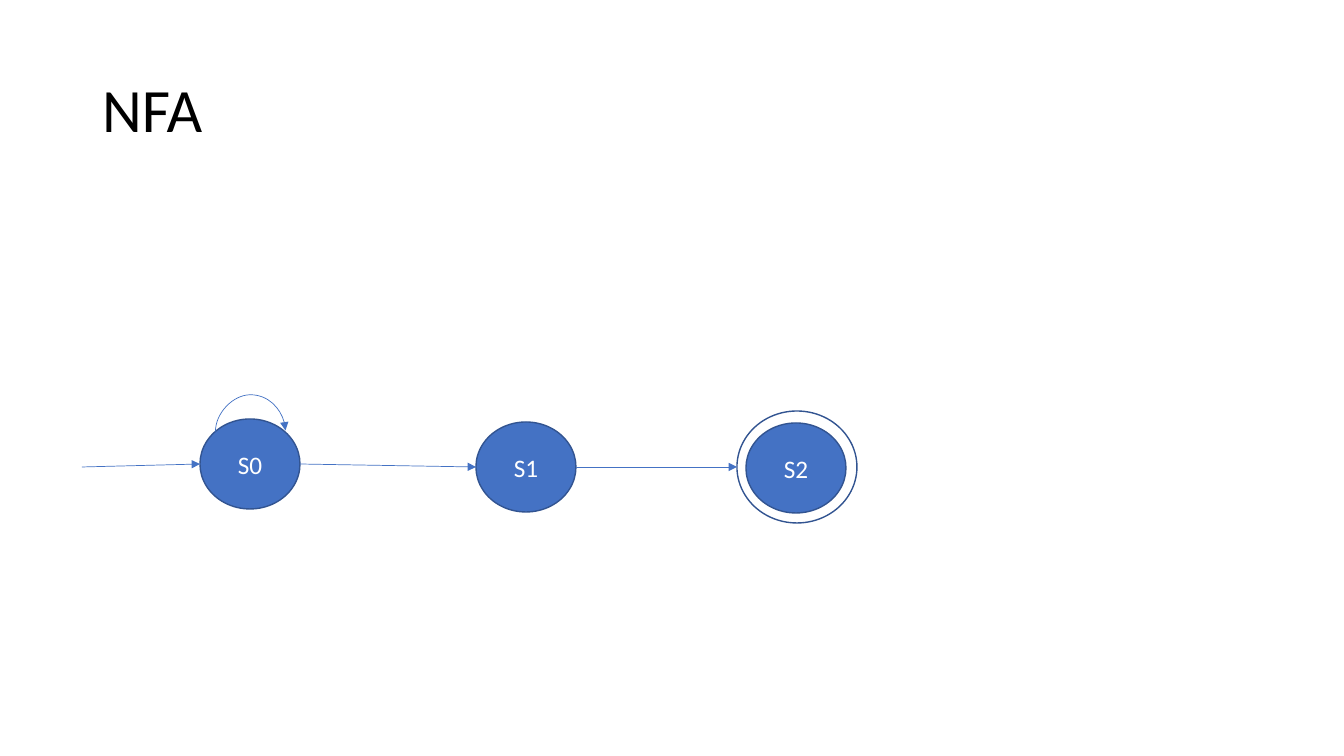
from dataclasses import dataclass

from lxml.etree import SubElement
from pptx import Presentation
from pptx.dml.color import RGBColor
from pptx.enum.shapes import MSO_CONNECTOR, MSO_SHAPE
from pptx.enum.text import MSO_ANCHOR, PP_ALIGN
from pptx.oxml.ns import qn
from pptx.util import Emu, Pt

EMU_PER_PIXEL = 914400 / 100.8


@dataclass(frozen=True)
class Theme:
    font: str = "Calibri"
    title_size: int = 44
    state_size: int = 18
    title_color: RGBColor = RGBColor(0x00, 0x00, 0x00)
    state_text: RGBColor = RGBColor(0xFF, 0xFF, 0xFF)
    state_fill: RGBColor = RGBColor(0x44, 0x72, 0xC4)
    outline: RGBColor = RGBColor(0x32, 0x54, 0x91)
    outline_width: float = 1
    arrow_width: float = 0.5


THEME = Theme()


def px(length):
    return Emu(round(length * EMU_PER_PIXEL))


def add_run(paragraph, text, size, color):
    run = paragraph.add_run()
    run.text = text
    run.font.name = THEME.font
    run.font.size = Pt(size)
    run.font.color.rgb = color


def add_title(slide, text, left, top, width, height):
    title = slide.shapes.title
    title.left, title.top = px(left), px(top)
    title.width, title.height = px(width), px(height)
    title.text_frame.vertical_anchor = MSO_ANCHOR.MIDDLE
    paragraph = title.text_frame.paragraphs[0]
    paragraph.alignment = PP_ALIGN.LEFT
    paragraph.line_spacing = 0.9
    add_run(paragraph, text, THEME.title_size, THEME.title_color)


def add_ellipse(slide, left, top, width, height):
    ellipse = slide.shapes.add_shape(
        MSO_SHAPE.OVAL, px(left), px(top), px(width), px(height))
    ellipse.shadow.inherit = False
    ellipse.fill.background()
    ellipse.line.color.rgb = THEME.outline
    ellipse.line.width = Pt(THEME.outline_width)
    return ellipse


def add_state(slide, name, left, top, width, height):
    state = add_ellipse(slide, left, top, width, height)
    state.fill.solid()
    state.fill.fore_color.rgb = THEME.state_fill
    state.text_frame.vertical_anchor = MSO_ANCHOR.MIDDLE
    paragraph = state.text_frame.paragraphs[0]
    paragraph.alignment = PP_ALIGN.CENTER
    add_run(paragraph, name, THEME.state_size, THEME.state_text)


def add_arrow(slide, begin, end, kind=MSO_CONNECTOR.STRAIGHT):
    arrow = slide.shapes.add_connector(kind, *map(px, begin + end))
    arrow.line.color.rgb = THEME.state_fill
    arrow.line.width = Pt(THEME.arrow_width)
    SubElement(arrow.line._get_or_add_ln(), qn("a:tailEnd"), type="triangle")
    SubElement(arrow._element.spPr, qn("a:effectLst"))
    return arrow


def add_self_loop(slide, center_x, base, span, rise):
    """Arc over a state: a one-pixel-wide curve turned a quarter."""
    loop = add_arrow(slide, (center_x + 1, base + span // 2),
                     (center_x, base - span // 2), MSO_CONNECTOR.CURVE)
    loop.rotation = 90
    properties = loop._element.spPr
    properties.find(qn("a:xfrm")).set("rot", str(90 * 60000))
    guides = properties.find(qn("a:prstGeom")).find(qn("a:avLst"))
    SubElement(guides, qn("a:gd"), name="adj1", fmla=f"val {rise * 100000}")


def add_automaton(slide, left, top):
    """Draw the states and transitions relative to the top left corner."""
    width, height = 100, 90
    middle = top + 56
    s0, s1, s2 = ((left + 118, top + 8), (left + 394, top + 11),
                  (left + 664, top + 12))
    ring_left, ring_width, ring_height = left + 655, 120, 112

    # States, with a ring around the accepting one
    add_state(slide, "S0", *s0, width, height)
    add_state(slide, "S1", *s1, width, height)
    add_ellipse(slide, ring_left, top, ring_width, ring_height)
    add_state(slide, "S2", *s2, width, height)

    # Transitions
    s0_middle = s0[1] + height // 2
    add_arrow(slide, (left, middle), (s0[0], s0_middle))
    add_arrow(slide, (s0[0] + width, s0_middle), (s1[0], middle))
    add_arrow(slide, (s1[0] + width, middle), (ring_left, middle))
    add_self_loop(slide, s0[0] + width // 2, s0[1] + 12, span=70, rise=37)


def main():
    presentation = Presentation()
    presentation.slide_width, presentation.slide_height = px(1344), px(756)
    slide = presentation.slides.add_slide(presentation.slide_layouts[5])
    add_title(slide, "NFA", 92, 40, 1159, 146)
    add_automaton(slide, 82, 411)
    presentation.save("out.pptx")


if __name__ == "__main__":
    main()
